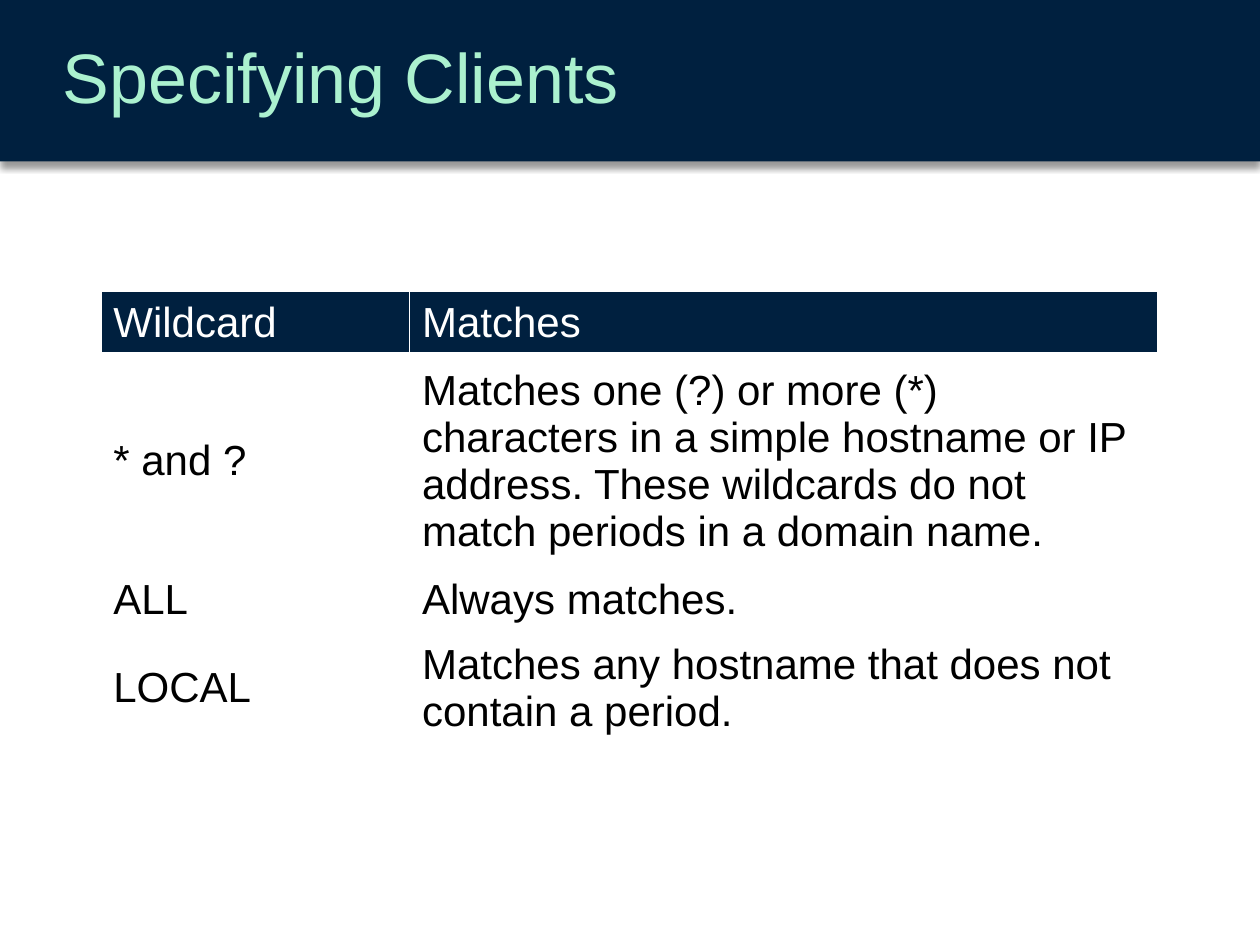
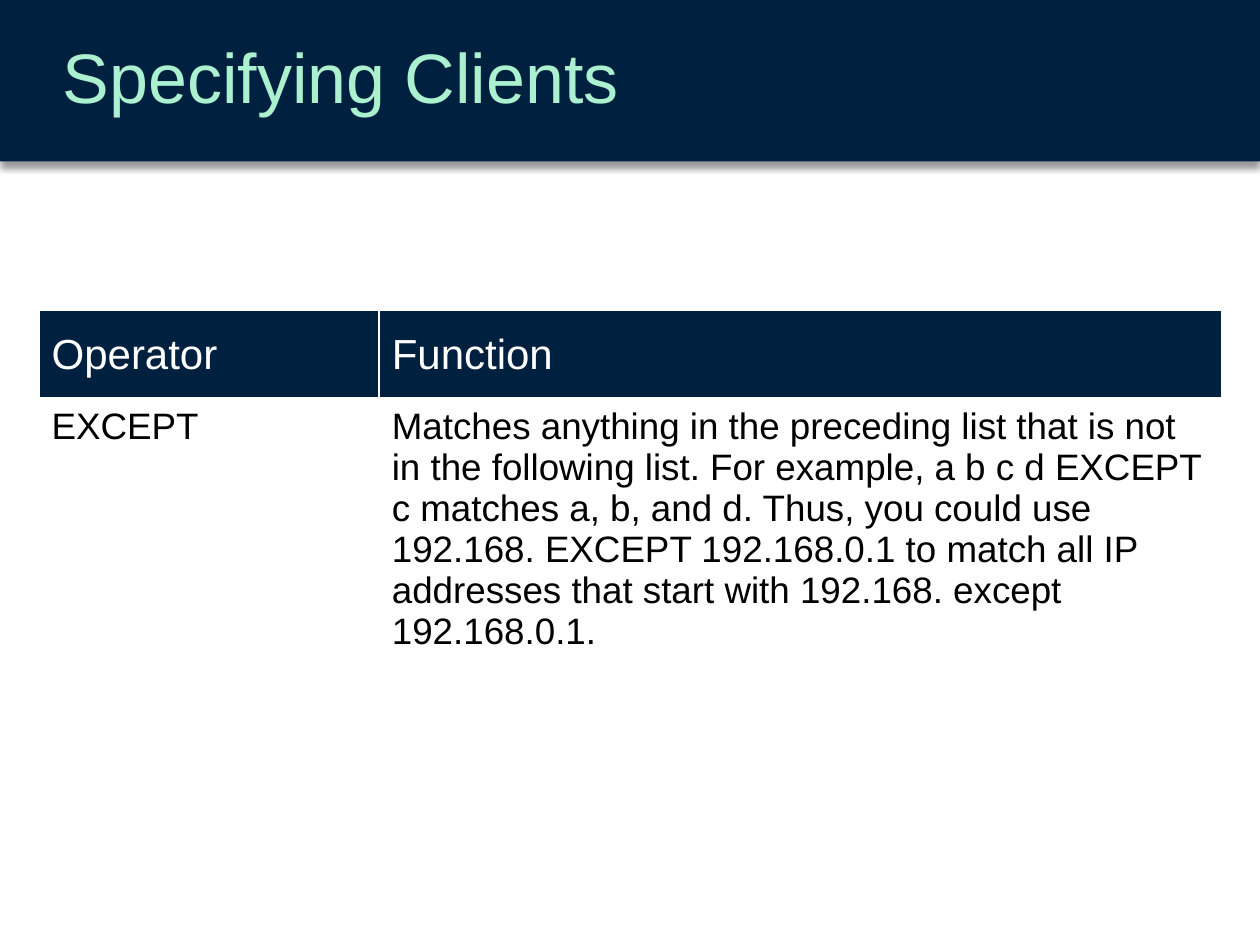
from dataclasses import dataclass

from pptx import Presentation
from pptx.dml.color import RGBColor
from pptx.enum.shapes import MSO_SHAPE
from pptx.enum.text import MSO_ANCHOR as Anchor
from pptx.oxml import parse_xml
from pptx.oxml.ns import nsdecls, qn
from pptx.slide import Slide
from pptx.table import _Cell as Cell
from pptx.text.text import _Paragraph as Paragraph
from pptx.util import Pt

NAVY = RGBColor(0x00, 0x20, 0x3F)
MINT = RGBColor(0xAB, 0xF1, 0xCF)
WHITE = RGBColor(0xFF, 0xFF, 0xFF)
BLACK = RGBColor(0x00, 0x00, 0x00)
FONT = "Arial"

SLIDE_W, SLIDE_H = 720, 540
BAND_H = 92.2
TITLE_X = 28.8
HEADER_SIZE = 24


@dataclass
class TableSpec:
    """A header row and body rows; lengths in points."""
    left: float
    top: float
    col_widths: list[float]
    row_heights: list[float]
    rows: list[tuple[str, str]]
    body_size: float
    body_anchor: Anchor
    margin_y: float


WILDCARDS = TableSpec(
    left=57.6, top=166.3,
    col_widths=[176.4, 427.7],
    row_heights=[23.8, 93.6, 29.5, 50.4],
    rows=[
        ("Wildcard", "Matches"),
        ("* and ?", "Matches one (?) or more (*) characters in a simple hostname "
                    "or IP address. These wildcards do not match periods in a "
                    "domain name."),
        ("ALL", "Always matches."),
        ("LOCAL", "Matches any hostname that does not contain a period."),
    ],
    body_size=24, body_anchor=Anchor.MIDDLE, margin_y=3.6,
)

OPERATORS = TableSpec(
    left=22.3, top=177.1,
    col_widths=[194.4, 481.7],
    row_heights=[51, 134.6],
    rows=[
        ("Operator", "Function"),
        ("EXCEPT", "Matches anything in the preceding list that is not in the "
                   "following list. For example, a b c d EXCEPT c matches a, b, "
                   "and d. Thus, you could use 192.168. EXCEPT 192.168.0.1 to "
                   "match all IP addresses that start with 192.168. except "
                   "192.168.0.1."),
    ],
    body_size=21, body_anchor=Anchor.TOP, margin_y=4.3,
)

SLIDES = [("Specifying Clients", WILDCARDS), ("Specifying Clients", OPERATORS)]


def set_font(p: Paragraph, size: float, color: RGBColor) -> None:
    p.font.name = FONT
    p.font.size = Pt(size)
    p.font.bold = False
    p.font.color.rgb = color


def add_band(s: Slide) -> None:
    sp = s.shapes.add_shape(MSO_SHAPE.RECTANGLE, 0, 0, Pt(SLIDE_W), Pt(BAND_H))
    sp.fill.solid()
    sp.fill.fore_color.rgb = NAVY
    sp.line.fill.background()
    # Soft shadow straight below the band
    sp.shadow.inherit = False
    sp._element.spPr.find(qn("a:effectLst")).append(parse_xml(
        f'<a:outerShdw {nsdecls("a")} blurRad="{Pt(4)}" dist="{Pt(3)}" '
        f'dir="5400000" algn="t" rotWithShape="0"><a:srgbClr val="{BLACK}">'
        '<a:alpha val="40000"/></a:srgbClr></a:outerShdw>'))


def add_title(s: Slide, text: str) -> None:
    box = s.shapes.add_textbox(Pt(TITLE_X), 0, Pt(SLIDE_W - TITLE_X), Pt(BAND_H))
    tf = box.text_frame
    tf.word_wrap = True
    tf.vertical_anchor = Anchor.MIDDLE
    p = tf.paragraphs[0]
    p.text = text
    p.line_spacing = 0.9
    set_font(p, 40, MINT)


def set_borders(cell: Cell, bottom: float) -> None:
    """White rules on all sides, 1 pt except the bottom one."""
    tc_pr = cell._tc.get_or_add_tcPr()
    widths = {"lnL": 1, "lnR": 1, "lnT": 1, "lnB": bottom}
    for i, (side, width) in enumerate(widths.items()):
        tc_pr.insert(i, parse_xml(
            f'<a:{side} {nsdecls("a")} w="{Pt(width)}"><a:solidFill>'
            f'<a:srgbClr val="{WHITE}"/></a:solidFill></a:{side}>'))


def add_table(s: Slide, spec: TableSpec) -> None:
    frame = s.shapes.add_table(
        len(spec.rows), len(spec.col_widths), Pt(spec.left), Pt(spec.top),
        Pt(sum(spec.col_widths)), Pt(sum(spec.row_heights)))
    table = frame.table
    table.horz_banding = False
    for col, width in zip(table.columns, spec.col_widths):
        col.width = Pt(width)
    for row, height in zip(table.rows, spec.row_heights):
        row.height = Pt(height)

    for i, texts in enumerate(spec.rows):
        header = i == 0
        for j, text in enumerate(texts):
            cell = table.cell(i, j)
            cell.text = text
            cell.margin_top = cell.margin_bottom = Pt(spec.margin_y)
            cell.vertical_anchor = Anchor.MIDDLE if header else spec.body_anchor
            cell.fill.solid()
            cell.fill.fore_color.rgb = NAVY if header else WHITE
            set_borders(cell, bottom=3 if header else 1)
            set_font(cell.text_frame.paragraphs[0],
                     HEADER_SIZE if header else spec.body_size,
                     WHITE if header else BLACK)


def main() -> None:
    prs = Presentation()
    prs.slide_width, prs.slide_height = Pt(SLIDE_W), Pt(SLIDE_H)
    for title, spec in SLIDES:
        s = prs.slides.add_slide(prs.slide_layouts[6])
        add_band(s)
        add_title(s, title)
        add_table(s, spec)
    prs.save("out.pptx")


if __name__ == "__main__":
    main()
